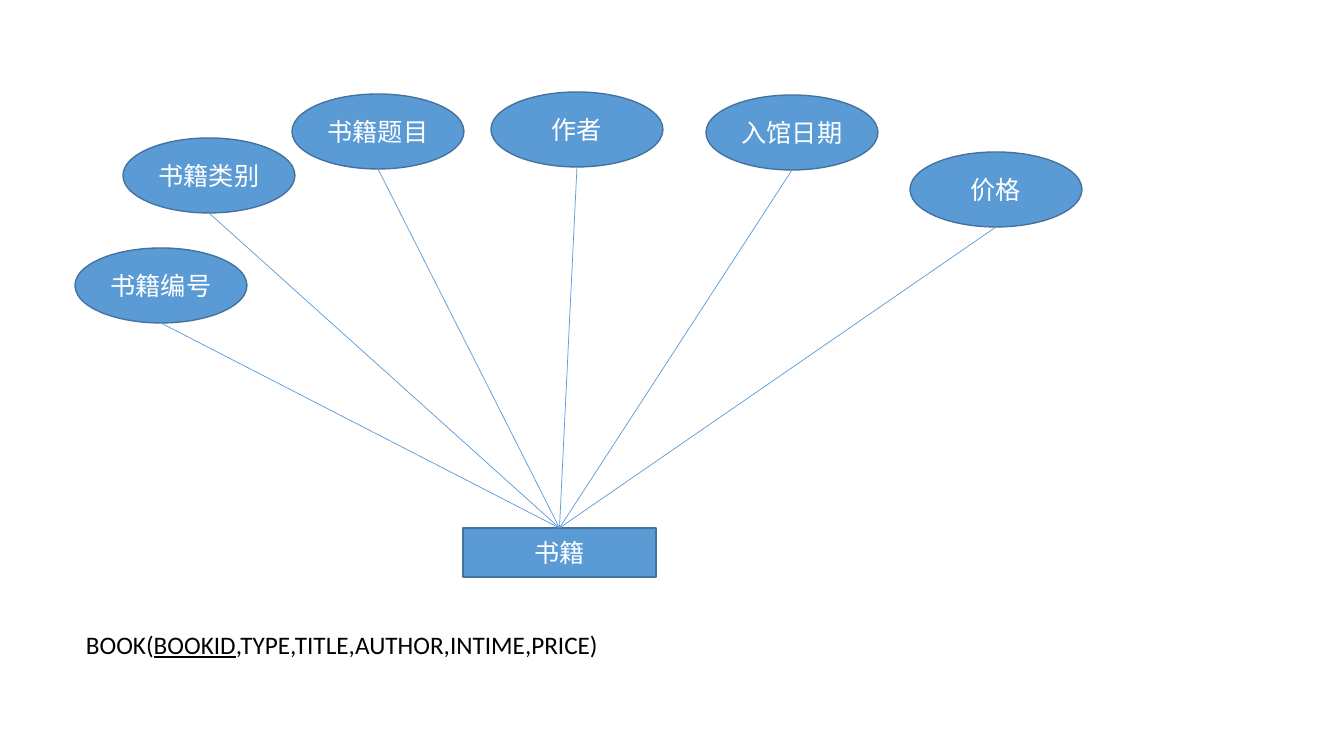
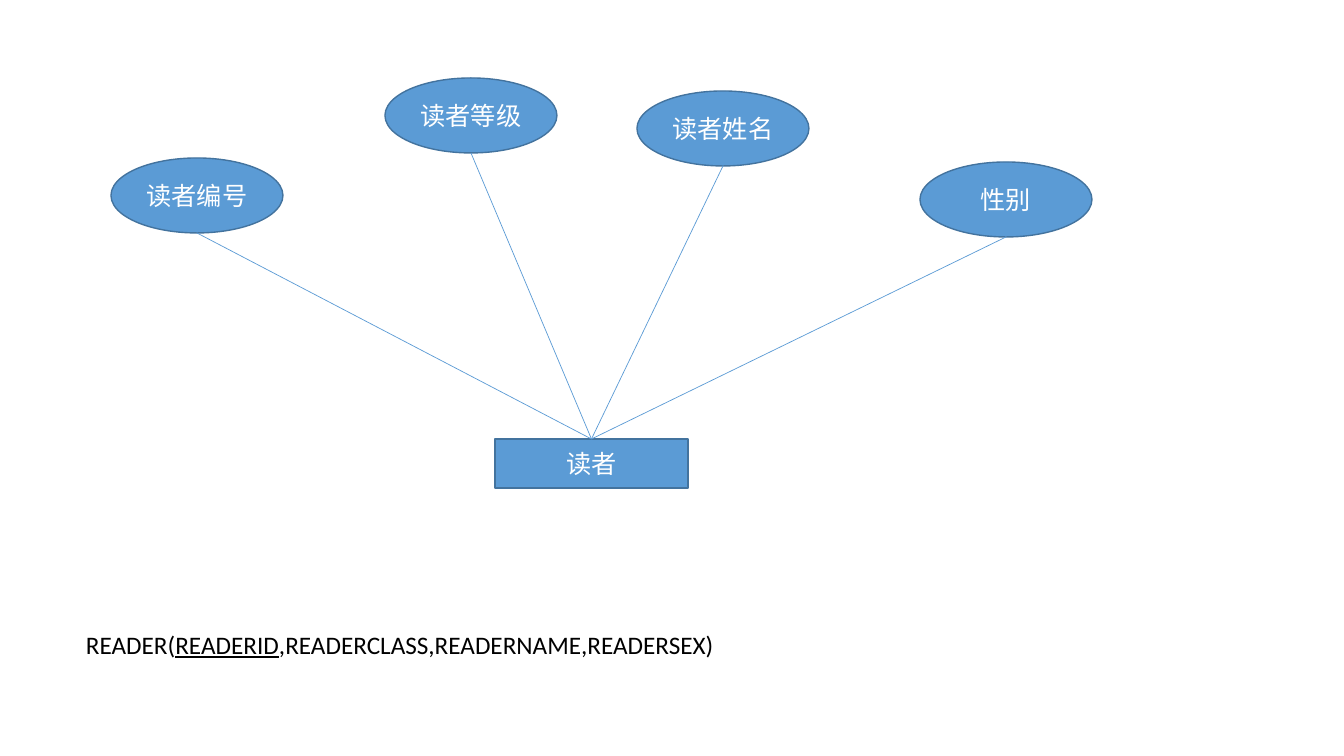
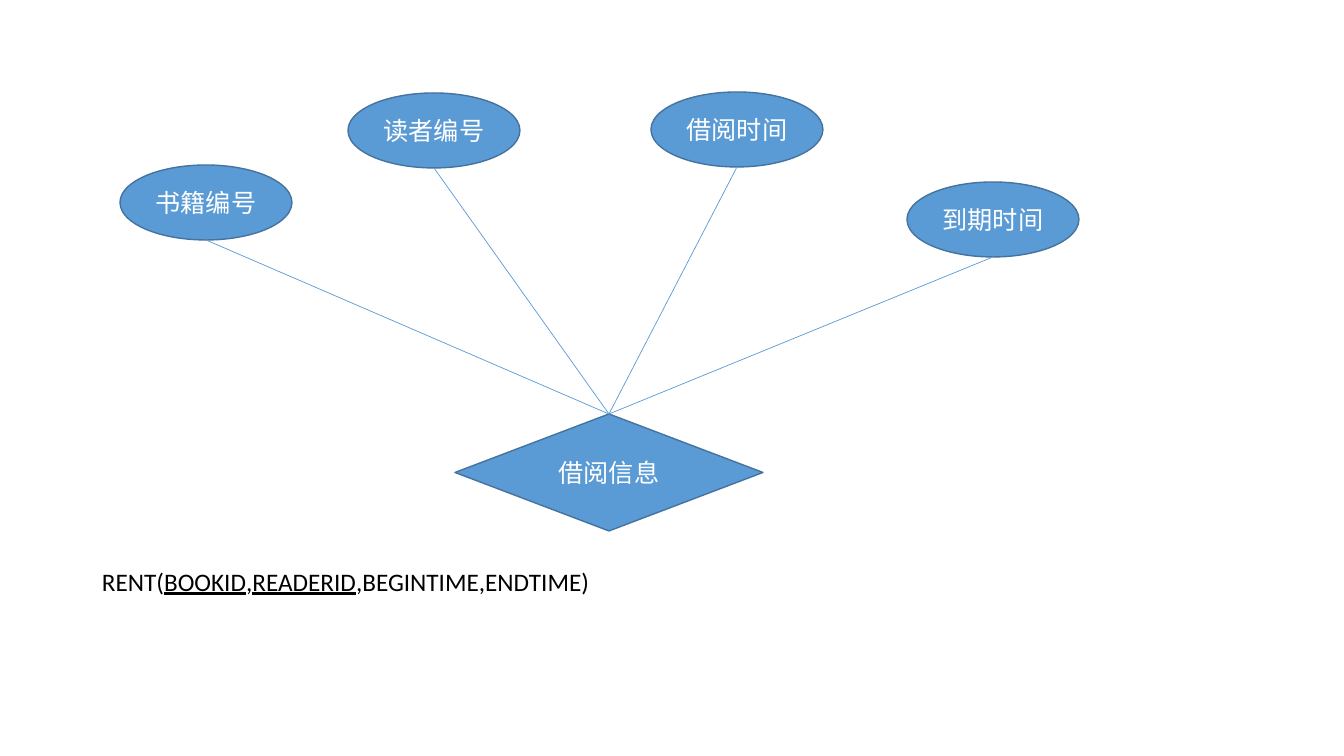
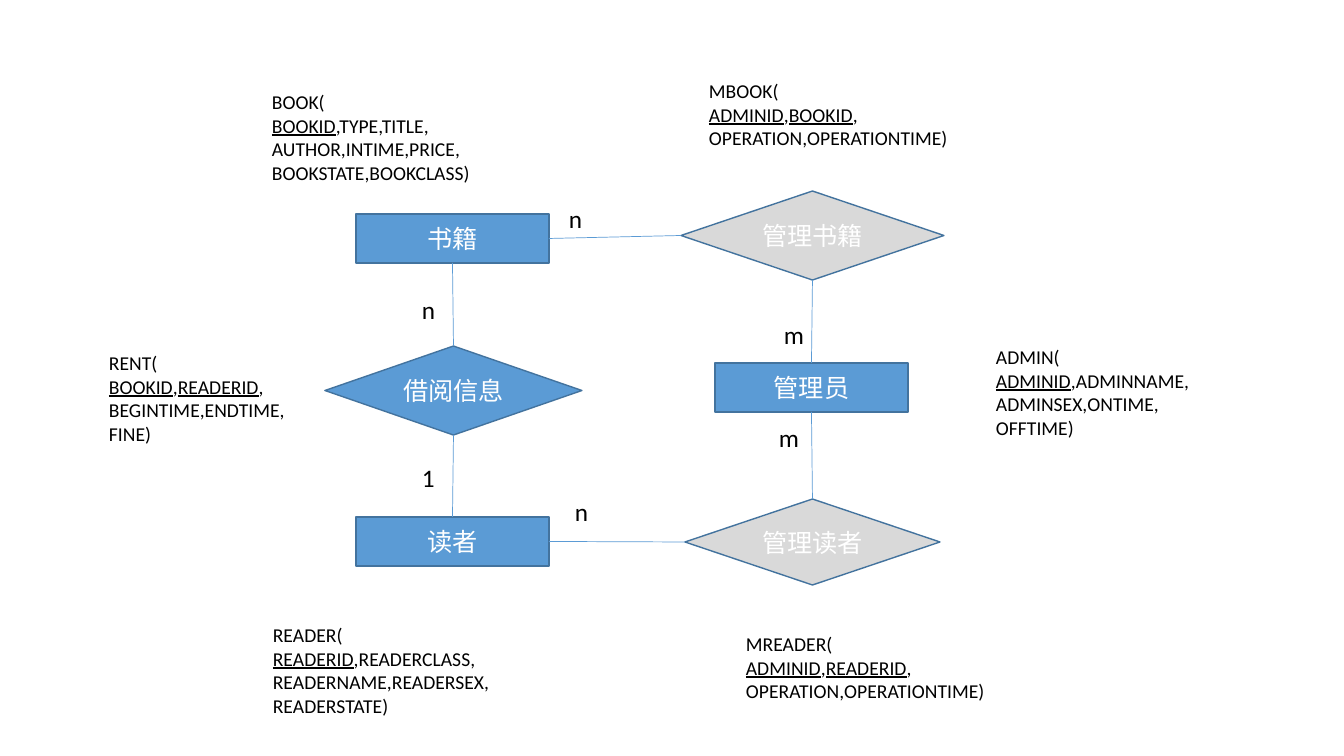
from dataclasses import dataclass

from lxml.etree import SubElement
from pptx import Presentation
from pptx.dml.color import RGBColor
from pptx.enum.shapes import MSO_CONNECTOR as Connector, MSO_SHAPE as Preset
from pptx.enum.text import MSO_ANCHOR as Anchor, MSO_AUTO_SIZE as AutoSize, PP_ALIGN as Align
from pptx.oxml.ns import qn
from pptx.util import Emu, Pt

SCALE = 12192000 / 1344
SLIDE_SIZE = (1344, 756)
ENTITY_SIZE = (193, 49)
ATTRIBUTE_SIZE = (172, 75)
LABEL_SIZE = (36, 40)
TOP, LEFT, BOTTOM, RIGHT = range(4)


@dataclass(frozen=True)
class Theme:
    font: str = "Calibri"
    blue: RGBColor = RGBColor(0x5B, 0x9B, 0xD5)
    outline: RGBColor = RGBColor(0x43, 0x73, 0x9E)
    grey: RGBColor = RGBColor(0xD9, 0xD9, 0xD9)
    white: RGBColor = RGBColor(0xFF, 0xFF, 0xFF)
    black: RGBColor = RGBColor(0, 0, 0)
    body: Pt = Pt(18)
    small: Pt = Pt(14)
    outline_width: Pt = Pt(1)
    link_width: Pt = Pt(0.5)


THEME = Theme()

ATTRIBUTE_DIAGRAMS = [
    {
        "core": ("书籍", Preset.RECTANGLE, (463, 528, *ENTITY_SIZE)),
        "attributes": [
            ("书籍编号", 75, 248), ("书籍类别", 123, 138), ("书籍题目", 292, 94),
            ("作者", 491, 92), ("入馆日期", 706, 95), ("价格", 910, 152),
        ],
        "schema": ("BOOK(_BOOKID_,TYPE,TITLE,AUTHOR,INTIME,PRICE)", (76, 624, 837, 40)),
    },
    {
        "core": ("读者", Preset.RECTANGLE, (495, 439, *ENTITY_SIZE)),
        "attributes": [
            ("读者编号", 111, 158), ("读者等级", 385, 78),
            ("读者姓名", 637, 91), ("性别", 920, 162),
        ],
        "schema": ("READER(_READERID_,READERCLASS,READERNAME,READERSEX)", (76, 624, 883, 40)),
    },
    {
        "core": ("借阅信息", Preset.DIAMOND, (455, 414, 308, 117)),
        "attributes": [
            ("书籍编号", 120, 165), ("读者编号", 348, 93),
            ("借阅时间", 651, 92), ("到期时间", 907, 182),
        ],
        "schema": ("RENT(_BOOKID_,_READERID_,BEGINTIME,ENDTIME)", (92, 561, 837, 40)),
    },
]

OVERVIEW_NODES = {
    "书籍": (Preset.RECTANGLE, (356, 214, *ENTITY_SIZE), THEME.blue),
    "读者": (Preset.RECTANGLE, (356, 517, *ENTITY_SIZE), THEME.blue),
    "管理员": (Preset.RECTANGLE, (715, 363, *ENTITY_SIZE), THEME.blue),
    "借阅信息": (Preset.DIAMOND, (325, 346, 257, 89), THEME.blue),
    "管理读者": (Preset.DIAMOND, (685, 499, 255, 86), THEME.grey),
    "管理书籍": (Preset.DIAMOND, (681, 191, 263, 89), THEME.grey),
}

OVERVIEW_LINKS = [
    ("书籍", BOTTOM, "借阅信息", TOP, "n", (412, 289)),
    ("借阅信息", BOTTOM, "读者", TOP, "1", (412, 457)),
    ("管理书籍", LEFT, "书籍", RIGHT, "n", (559, 198)),
    ("管理书籍", BOTTOM, "管理员", TOP, "m", (774, 314)),
    ("管理员", BOTTOM, "管理读者", TOP, "m", (769, 417)),
    ("管理读者", LEFT, "读者", RIGHT, "n", (565, 491)),
]

OVERVIEW_SCHEMAS = [
    ("BOOK(\n_BOOKID_,TYPE,TITLE,\nAUTHOR,INTIME,PRICE,\nBOOKSTATE,BOOKCLASS)", (262, 85, 227, 105)),
    ("READER(\n_READERID_,READERCLASS,\nREADERNAME,READERSEX,\nREADERSTATE)", (263, 618, 285, 105)),
    ("ADMIN(\n_ADMINID_,ADMINNAME,\nADMINSEX,ONTIME,\nOFFTIME)", (986, 340, 246, 105)),
    ("RENT(\n_BOOKID_,_READERID_,\nBEGINTIME,ENDTIME,\nFINE)", (99, 346, 213, 105)),
    ("MREADER(\n_ADMINID_,_READERID_,\nOPERATION,OPERATIONTIME)", (736, 627, 271, 81)),
    ("MBOOK(\n_ADMINID_,_BOOKID_,\nOPERATION,OPERATIONTIME)", (699, 74, 271, 81)),
]


def emu(*pixels):
    return [Emu(round(value * SCALE)) for value in pixels]


def apply(target, formats):
    for name, value in formats.items():
        setattr(target, name, value)


def write(paragraph, text, size, color, underline=False):
    run = paragraph.add_run()
    run.text = text
    apply(run.font, {"name": THEME.font, "size": size, "underline": underline})
    run.font.color.rgb = color


def add_node(slide, text, preset, box, fill=THEME.blue):
    shape = slide.shapes.add_shape(preset, *emu(*box))
    shape.shadow.inherit = False
    shape.fill.solid()
    shape.fill.fore_color.rgb = fill
    shape.line.color.rgb = THEME.outline
    shape.line.width = THEME.outline_width
    apply(shape.text_frame, {"word_wrap": True, "vertical_anchor": Anchor.MIDDLE})
    paragraph = shape.text_frame.paragraphs[0]
    paragraph.alignment = Align.CENTER
    write(paragraph, text, THEME.body, THEME.white)
    return shape


def add_text(slide, text, box, size=THEME.body):
    frame = slide.shapes.add_textbox(*emu(*box)).text_frame
    apply(frame, {"word_wrap": True, "auto_size": AutoSize.SHAPE_TO_FIT_TEXT})
    for index, line in enumerate(text.split("\n")):
        paragraph = frame.add_paragraph() if index else frame.paragraphs[0]
        for position, part in enumerate(line.split("_")):
            if part:
                write(paragraph, part, size, THEME.black, underline=position % 2 == 1)


def add_link(slide, start, target, target_site):
    connector = slide.shapes.add_connector(Connector.STRAIGHT, *start, *start)
    connector.line.color.rgb = THEME.blue
    connector.line.width = THEME.link_width
    SubElement(connector._element.spPr, qn("a:effectLst"))
    connector.end_connect(target, target_site)
    return connector


def bottom_centre(shape):
    return shape.left + shape.width // 2, shape.top + shape.height


def build_attribute_diagram(slide, core, attributes, schema):
    core_shape = add_node(slide, *core)
    for text, left, top in attributes:
        attribute = add_node(slide, text, Preset.OVAL, (left, top, *ATTRIBUTE_SIZE))
        add_link(slide, bottom_centre(attribute), core_shape, TOP)
    add_text(slide, *schema)


def build_overview(slide):
    nodes = {text: add_node(slide, text, *node) for text, node in OVERVIEW_NODES.items()}
    for source, source_site, target, target_site, cardinality, place in OVERVIEW_LINKS:
        connector = add_link(slide, bottom_centre(nodes[source]), nodes[target], target_site)
        connector.begin_connect(nodes[source], source_site)
        add_text(slide, cardinality, (*place, *LABEL_SIZE))
    for text, box in OVERVIEW_SCHEMAS:
        add_text(slide, text, box, THEME.small)


def main():
    presentation = Presentation()
    presentation.slide_width, presentation.slide_height = emu(*SLIDE_SIZE)
    blank = presentation.slide_layouts[6]
    for diagram in ATTRIBUTE_DIAGRAMS:
        build_attribute_diagram(presentation.slides.add_slide(blank), **diagram)
    build_overview(presentation.slides.add_slide(blank))
    presentation.save("out.pptx")


main()
